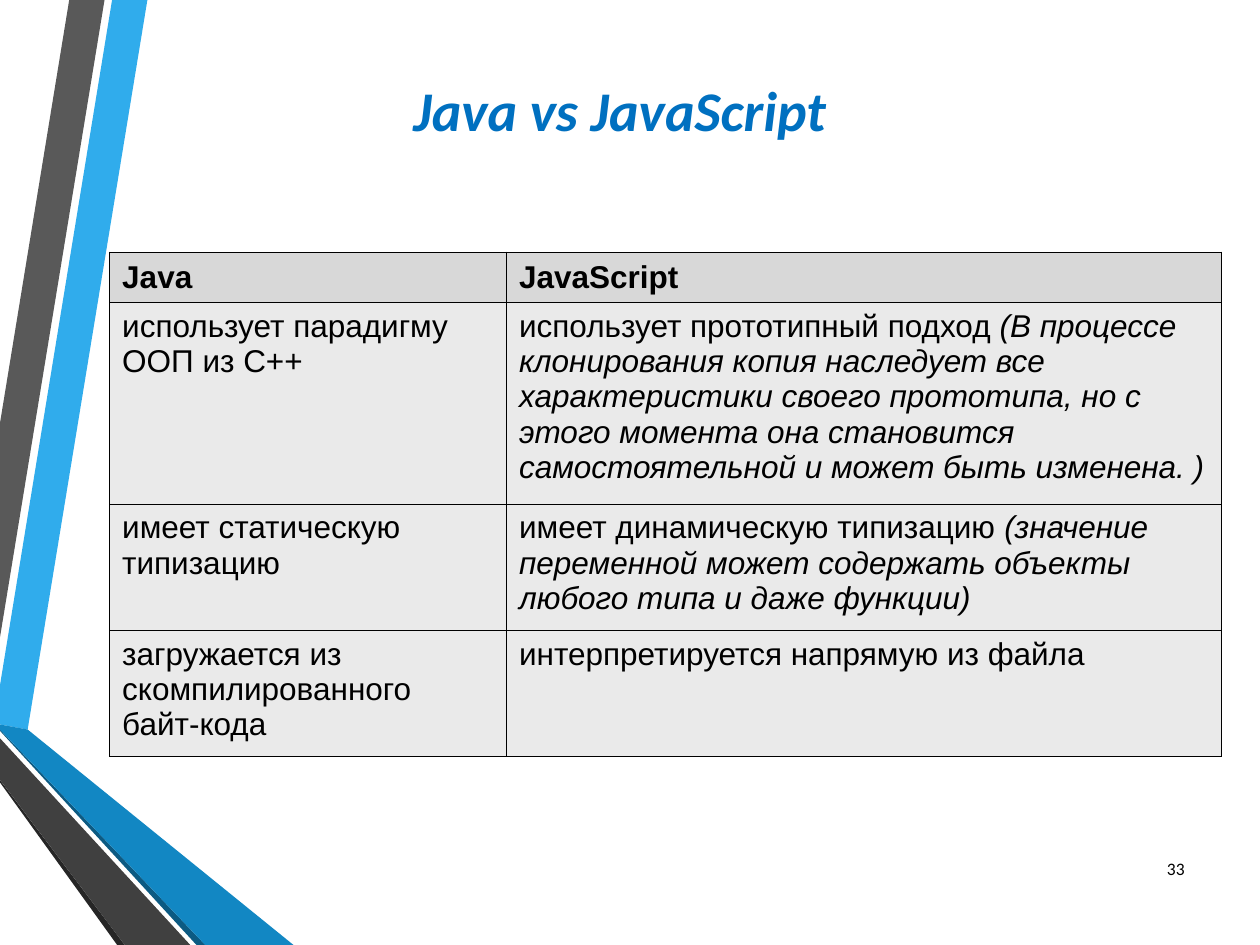
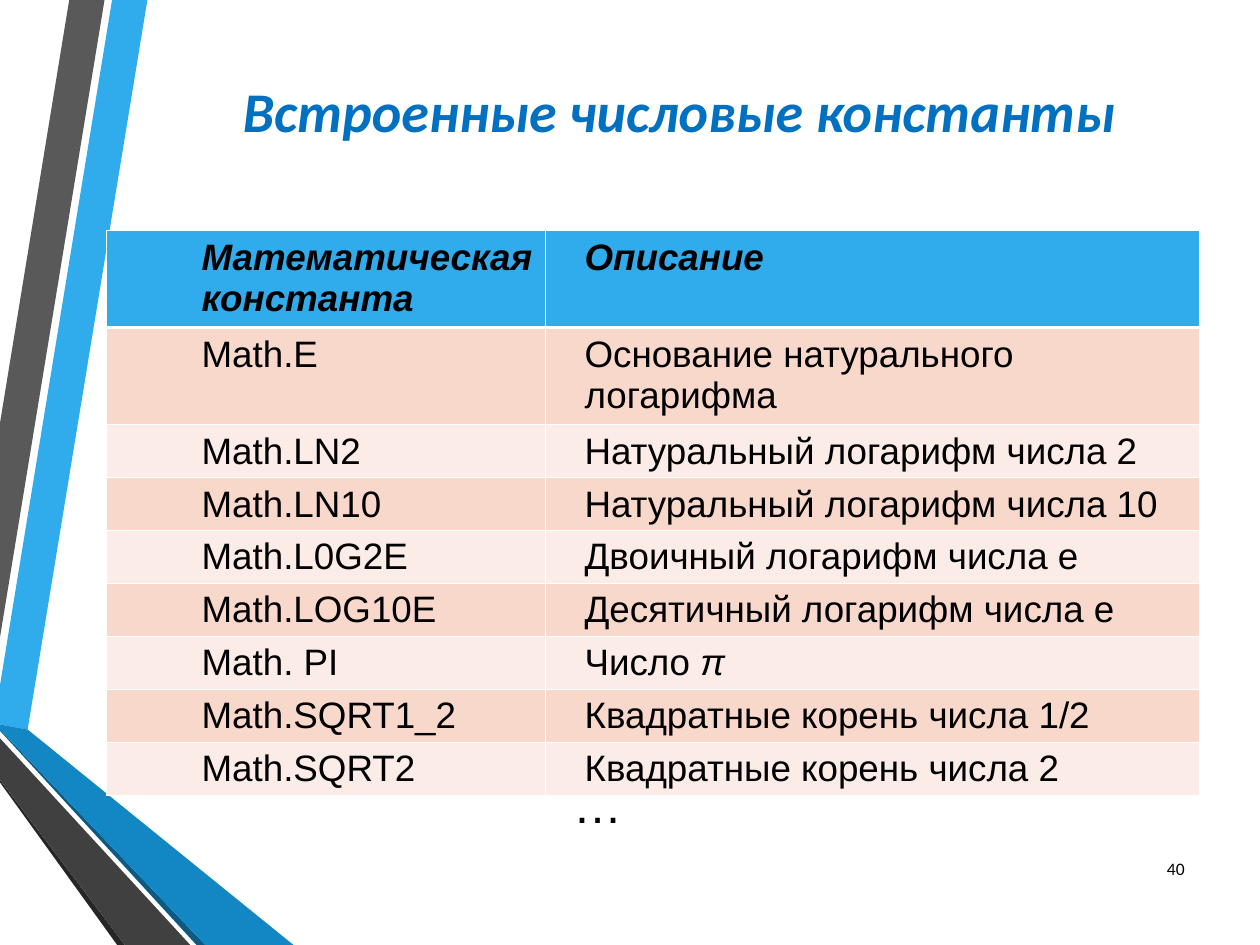
import pptx
import pptx.util
import pptx.dml.color
import pptx.enum.text
import pptx.oxml.ns
from lxml import etree

Inches = pptx.util.Inches
Pt = pptx.util.Pt
ALIGN = pptx.enum.text.PP_ALIGN
ANCHOR = pptx.enum.text.MSO_ANCHOR
FIT = pptx.enum.text.MSO_AUTO_SIZE

BLACK, WHITE, BLUE, SKY = "000000", "FFFFFF", "0070C0", "30ACEC"
BANDS = [
    (SKY, [(0, 5.44), (0, 5.75), (0.22, 5.79), (1.17, 0), (0.89, 0)]),
    ("595959", [(0.83, 0), (0.55, 0), (0, 3.36), (0, 5.06)]),
    ("262626", [(0, 6.19), (0, 6.21), (0.93, 7.5), (0.99, 7.5)]),
    ("0C5A82", [(0, 5.79), (0, 5.8), (1.56, 7.5), (1.63, 7.5)]),
    ("1287C3", [(0, 5.79), (1.63, 7.5), (2.33, 7.5), (0.22, 5.79), (0, 5.75)]),
    ("404040", [(0, 6.19), (0.99, 7.5), (1.51, 7.5), (0, 5.86)]),
]

VERSUS = [
    ("Java", "JavaScript"),
    ("использует парадигму ООП из C++",
     ("использует прототипный подход ",
      "(В процессе клонирования копия наследует все характеристики своего "
      "прототипа, но с этого момента она становится самостоятельной и может "
      "быть изменена. )")),
    ("имеет статическую типизацию",
     ("имеет динамическую типизацию ",
      "(значение переменной может содержать объекты любого типа и даже функции)")),
    ("загружается из скомпилированного байт-кода",
     "интерпретируется напрямую из файла"),
]
MATH = [
    ("Математическая константа", "Описание"),
    ("Math.E", "Основание натурального логарифма"),
    ("Math.LN2", "Натуральный логарифм числа 2"),
    ("Math.LN10", "Натуральный логарифм числа 10"),
    ("Math.L0G2E", "Двоичный логарифм числа е"),
    ("Math.LOG10E", "Десятичный логарифм числа е"),
    ("Math. PI", ("Число ", "π")),
    ("Math.SQRT1_2", "Квадратные корень числа 1/2"),
    ("Math.SQRT2", "Квадратные корень числа 2"),
]


def color(code):
    return pptx.dml.color.RGBColor.from_string(code)


class Deck:
    """Hold the shared style and the current slide."""

    def __init__(self):
        self.prs = pptx.Presentation()
        self.prs.slide_width, self.prs.slide_height = Inches(10), Inches(7.5)
        self.slide = None

    def start(self, title, box, number):
        self.slide = self.prs.slides.add_slide(self.prs.slide_layouts[5])
        for fill, points in BANDS:
            self.band(fill, points)
        self.title(title, box)
        self.text(str(number), (9.05, 6.69, 0.45, 0.4), 10, "Calibri",
                  align=ALIGN.RIGHT, anchor=ANCHOR.MIDDLE)

    def style(self, para, size, face="Arial", tint=BLACK, bold=False, italic=False):
        font = para.font
        font.size, font.name = Pt(size), face
        font.bold, font.italic = bold, italic
        font.color.rgb = color(tint)

    def band(self, fill, points):
        spots = [(Inches(x), Inches(y)) for x, y in points]
        form = self.slide.shapes.build_freeform(*spots[0])
        form.add_line_segments(spots[1:], close=True)
        shape = form.convert_to_shape()
        shape.shadow.inherit = False
        shape.fill.solid()
        shape.fill.fore_color.rgb = color(fill)
        shape.line.fill.background()

    def title(self, text, box):
        shape = self.slide.shapes.title
        shape.left, shape.top, shape.width, shape.height = map(Inches, box)
        frame = shape.text_frame
        frame.text = text
        frame.auto_size = FIT.NONE
        frame.vertical_anchor = ANCHOR.MIDDLE
        para = frame.paragraphs[0]
        para.alignment = ALIGN.CENTER
        self.style(para, 32, "Calibri", BLUE, bold=True, italic=True)

    def text(self, text, box, size, face="Arial", align=ALIGN.LEFT,
             anchor=ANCHOR.TOP, wrap=True):
        frame = self.slide.shapes.add_textbox(*map(Inches, box)).text_frame
        frame.text = text
        frame.word_wrap = wrap
        frame.vertical_anchor = anchor
        para = frame.paragraphs[0]
        para.alignment = align
        self.style(para, size, face)

    def border(self, cell, tint, widths):
        props = cell._tc.get_or_add_tcPr()
        for side, width in zip("LRTB", widths):
            line = etree.SubElement(props, pptx.oxml.ns.qn(f"a:ln{side}"),
                                    w=str(Pt(width)))
            fill = etree.SubElement(line, pptx.oxml.ns.qn("a:solidFill"))
            etree.SubElement(fill, pptx.oxml.ns.qn("a:srgbClr"), val=tint)

    def cell(self, cell, words, fill, size, head, slant, pad, foot, indent):
        cell.margin_left = cell.margin_right = Inches(pad)
        cell.margin_top, cell.margin_bottom = Inches(0.05), Inches(foot)
        cell.fill.solid()
        cell.fill.fore_color.rgb = color(fill)
        para = cell.text_frame.paragraphs[0]
        if indent:
            para._p.get_or_add_pPr().set("marL", str(Inches(indent)))
        self.style(para, size, bold=head, italic=head and slant)
        if isinstance(words, str):
            para.add_run().text = words
            return
        for italic, part in enumerate(words):
            run = para.add_run()
            run.text = part
            run.font.italic = bool(italic)

    def table(self, rows, place, cols, heights, fills, size, edge, rule=0.45,
              slant=False, pad=0.1, foot=0.05, indents=(0, 0)):
        box = (*place, sum(cols), sum(heights))
        grid = self.slide.shapes.add_table(
            len(rows), len(cols), *map(Inches, box)).table
        grid.first_row = grid.horz_banding = False
        for col, width in zip(grid.columns, cols):
            col.width = Inches(width)
        for i, (row, height) in enumerate(zip(rows, heights)):
            grid.rows[i].height = Inches(height)
            fill = fills[0] if i == 0 else fills[1 + (i - 1) % (len(fills) - 1)]
            widths = (0.45, 0.45, rule if i == 1 else 0.45, rule if i == 0 else 0.45)
            for j, words in enumerate(row):
                cell = grid.cell(i, j)
                self.border(cell, edge, widths)
                self.cell(cell, words, fill, size, i == 0, slant, pad, foot,
                          indents[j])
        return grid


def main():
    deck = Deck()
    deck.start("Java vs JavaScript", (1.06, 0.42, 7.72, 0.89), 33)
    grid = deck.table(VERSUS, (0.87, 2), (3.15, 5.67), (0.4, 1.6, 1, 1),
                      ("D8D8D8", "EAEAEA"), 18, BLACK)
    for cell in grid.rows[0].cells:
        cell.vertical_anchor = ANCHOR.MIDDLE

    deck.start("Встроенные числовые константы", (1.06, 0.52, 8.67, 0.7), 40)
    deck.table(MATH, (0.84, 1.83), (3.49, 5.19), [0.7] * 2 + [0.41] * 7,
               (SKY, "F9D8CC", "FCECE7"), 21, WHITE, rule=1.47,
               slant=True, pad=0.03, foot=0.02, indents=(0.73, 0.28))
    deck.text("…", (4.45, 6.1, 0.59, 0.57), 28, wrap=False)
    deck.prs.save("out.pptx")


if __name__ == "__main__":
    main()
